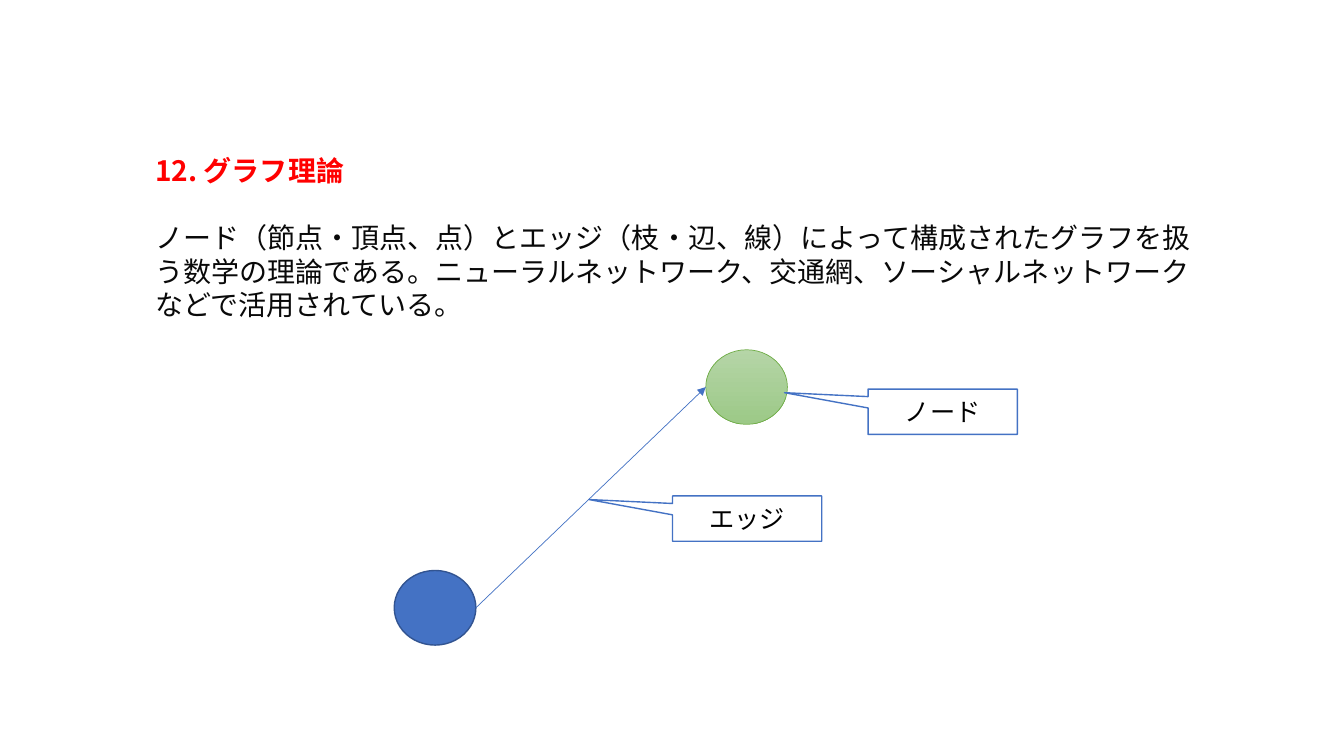
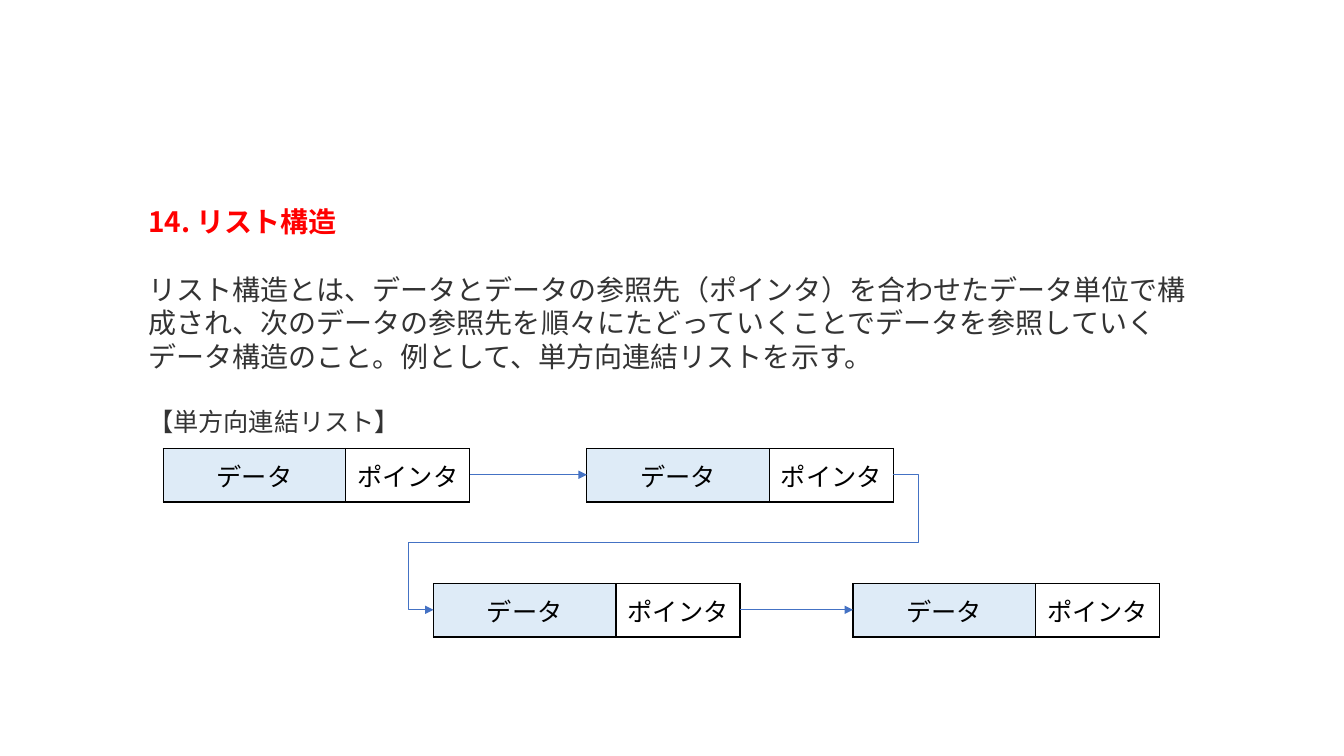
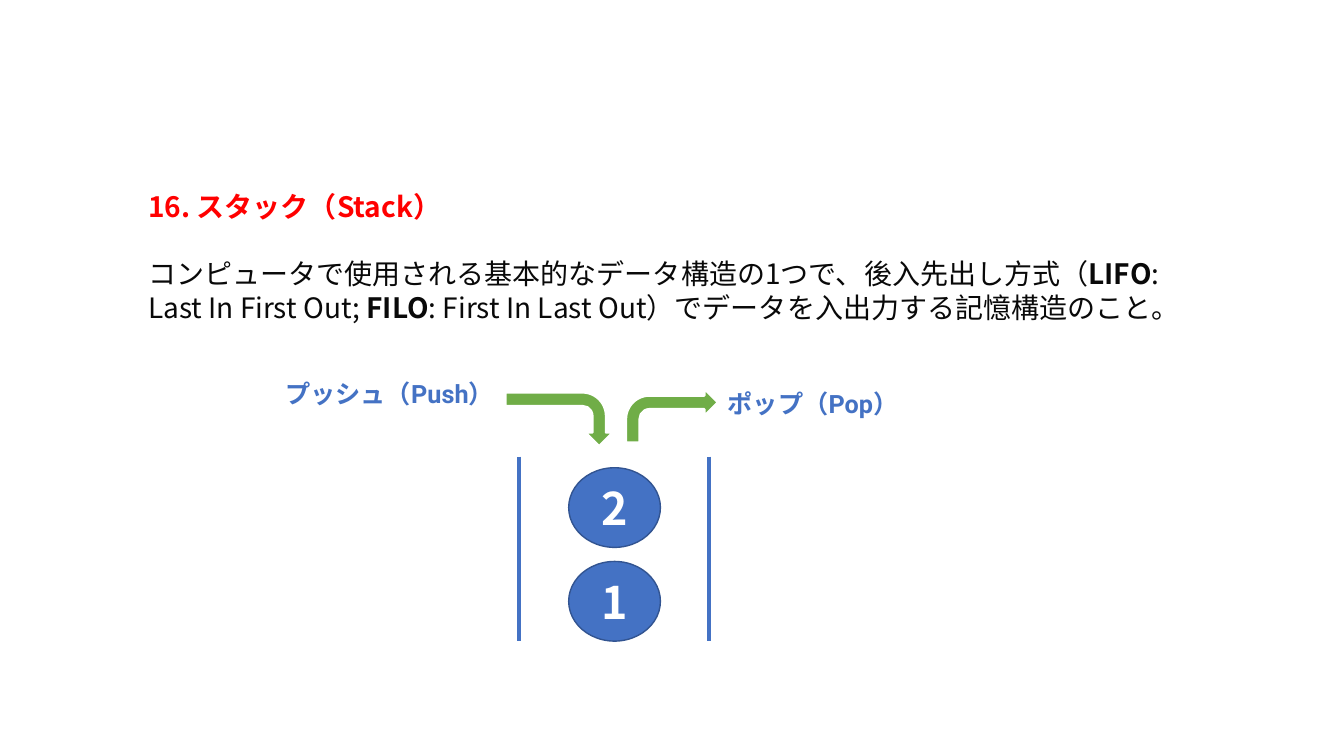
from pptx import Presentation
from pptx.dml.color import RGBColor
from pptx.enum import shapes, text
from pptx.oxml import parse_xml
from pptx.oxml import ns
from pptx import util as u

PX = 9144
CJK, LATIN = "Noto Sans CJK JP", "Roboto"
BLUE, NAVY, GREEN, PALE = "4472C4", "325491", "70AD47", "DEEBF7"
RED, INK, GRAY, BLACK, WHITE = "FF0000", "090909", "333333", "000000", "FFFFFF"
TEXT_W, LINE_H, CELL_H = 1060, 34, 53
CELL_WS = (181, 123)
NODE_W = sum(CELL_WS)
SHAPE = shapes.MSO_SHAPE
CENTER = text.PP_ALIGN.CENTER
MIDDLE = text.MSO_ANCHOR.MIDDLE


def px(*values):
    return [u.Emu(v * PX) for v in values]


def rgb(color):
    return RGBColor.from_string(color)


def xml(body):
    return parse_xml(body.replace(">", f" {ns.nsdecls('a')}>", 1)
                     if "/>" not in body.split(">")[0] + ">"
                     else body.replace("/>", f" {ns.nsdecls('a')}/>", 1))


def style(p, size, color, font=CJK, bold=False, align=None, spacing=None):
    p.alignment = align
    if spacing:
        p.line_spacing = u.Pt(spacing)
    f = p.font
    f.size, f.bold, f.name = u.Pt(size), bold, font
    f.color.rgb = rgb(color)
    f._element.append(xml(f'<a:ea typeface="{CJK}"/>'))


def outline(line, color, width):
    line.color.rgb = rgb(color)
    line.width = u.Pt(width)


def add_text(s, box, parts, size, color, font=CJK, bold=False, spacing=None):
    tf = s.shapes.add_textbox(*px(*box)).text_frame
    tf.word_wrap = True
    p = tf.paragraphs[0]
    for i, part in enumerate(parts):
        r = p.add_run()
        r.text = part
        if i % 2:
            r.font.bold = True
    style(p, size, color, font, bold, spacing=spacing)


def add_heading(s, x, y, title, parts, lines, color=INK, font=CJK):
    sp = s.shapes.title
    sp.left, sp.top, sp.width, sp.height = px(x, y, TEXT_W, LINE_H + 10)
    tf = sp.text_frame
    tf.text = title
    tf.word_wrap = True
    tf.auto_size = text.MSO_AUTO_SIZE.NONE
    tf.vertical_anchor = text.MSO_ANCHOR.TOP
    style(tf.paragraphs[0], 20, RED, bold=True, align=text.PP_ALIGN.LEFT, spacing=24)
    body = (x, y + 2 * LINE_H - 1, TEXT_W, lines * LINE_H + 10)
    add_text(s, body, parts, 20, color, font, spacing=24)


def add_shape(s, kind, box, fill, line, width, label="", size=18, color=BLACK, bold=False):
    sp = s.shapes.add_shape(kind, *px(*box))
    sp.shadow.inherit = False
    sp.fill.solid()
    sp.fill.fore_color.rgb = rgb(fill)
    outline(sp.line, line, width)
    if label:
        tf = sp.text_frame
        tf.text = label
        tf.vertical_anchor = MIDDLE
        style(tf.paragraphs[0], size, color, bold=bold, align=CENTER)
    return sp


def add_callout(s, x, y, label):
    sp = add_shape(s, SHAPE.RECTANGULAR_CALLOUT, (x, y, 148, 45), WHITE, BLUE, 1, label)
    sp.adjustments[0], sp.adjustments[1] = -1.06, -0.42


def add_line(s, start, end, width=0.5, arrow=True, bends=()):
    kind = shapes.MSO_CONNECTOR.ELBOW if bends else shapes.MSO_CONNECTOR.STRAIGHT
    c = s.shapes.add_connector(kind, *px(*start, *end))
    outline(c.line, BLUE, width)
    sp_pr = c._element.spPr
    if arrow:
        c.line._get_or_add_ln().append(xml('<a:tailEnd type="triangle"/>'))
    sp_pr.append(xml("<a:effectLst/>"))
    if bends:
        geom = sp_pr.find(ns.qn("a:prstGeom"))
        geom.set("prst", "bentConnector5")
        guides = geom.get_or_add_avLst()
        for i, bend in enumerate(bends, 1):
            guides.append(xml(f'<a:gd name="adj{i}" fmla="val {bend}"/>'))


def add_list_node(s, x, y):
    frame = s.shapes.add_table(1, 2, *px(x, y, NODE_W, CELL_H))
    table = frame.table
    table.first_row = table.horz_banding = False
    table.rows[0].height = px(CELL_H)[0]
    for i, (label, width) in enumerate(zip(("データ", "ポインタ"), CELL_WS)):
        table.columns[i].width = px(width)[0]
        cell = table.cell(0, i)
        cell.text = label
        cell.vertical_anchor = MIDDLE
        style(cell.text_frame.paragraphs[0], 18, BLACK, align=CENTER)
        tc_pr = cell._tc.get_or_add_tcPr()
        for side in ("lnL", "lnR", "lnT", "lnB"):
            tc_pr.append(xml(f'<a:{side} w="12700"><a:solidFill><a:srgbClr val="{BLACK}"/>'
                             f'</a:solidFill></a:{side}>'))
        if i == 0:
            cell.fill.solid()
            cell.fill.fore_color.rgb = rgb(PALE)
        else:
            cell.fill.background()


def graph_slide(s):
    add_heading(s, 144, 147, "12. グラフ理論", [
        "ノード（節点・頂点、点）とエッジ（枝・辺、線）によって構成されたグラフを扱う数学の理論である。"
        "ニューラルネットワーク、交通網、ソーシャルネットワークなどで活用されている。"], 3)
    w, h = 81, 74
    x1, y1, x2, y2 = 391, 566, 700, 347
    add_shape(s, SHAPE.OVAL, (x1, y1, w, h), BLUE, NAVY, 1)
    target = add_shape(s, SHAPE.OVAL, (x2, y2, w, h), GREEN, GREEN, 0.5)
    target.fill.gradient()
    target.fill.gradient_angle = 270
    for stop, color in zip(target.fill.gradient_stops, ("B5D5A7", "9CC987")):
        stop.color.rgb = rgb(color)
    add_line(s, (x1 + w, y1 + h // 2), (x2, y2 + h // 2))
    add_callout(s, 667, 492, "エッジ")
    add_callout(s, 861, 386, "ノード")


def list_slide(s):
    add_heading(s, 137, 198, "14. リスト構造", [
        "リスト構造とは、データとデータの参照先（ポインタ）を合わせたデータ単位で構成され、"
        "次のデータの参照先を順々にたどっていくことでデータを参照していくデータ構造のこと。"
        "例として、単方向連結リストを示す。"], 3, GRAY, LATIN)
    add_text(s, (137, 398, 666, 40), ["【単方向連結リスト】"], 18, GRAY, LATIN, spacing=22)
    rows = ((445, 162, 582), (579, 430, 846))
    for y, left, right in rows:
        add_list_node(s, left, y)
        add_list_node(s, right, y)
        mid = y + CELL_H // 2
        add_line(s, (left + NODE_W, mid), (right, mid))
    (y1, _, last), (y2, first, _) = rows
    add_line(s, (last + NODE_W, y1 + CELL_H // 2), (first, y2 + CELL_H // 2),
             bends=(-5500, 50000, 105500))


def stack_slide(s):
    add_heading(s, 137, 183, "16. スタック（Stack）", [
        "コンピュータで使用される基本的なデータ構造の1つで、後入先出し方式（", "LIFO",
        ": Last In First Out; ", "FILO",
        ": First In Last Out）でデータを入出力する記憶構造のこと。"], 2)
    for x in (515, 703):
        add_line(s, (x, 453), (x, 636), 3, arrow=False)
    for i, label in enumerate("12"):
        add_shape(s, SHAPE.OVAL, (564, 557 - 93 * i, 91, 79), BLUE, NAVY, 1,
                  label, 32, WHITE, True)
    push = add_shape(s, SHAPE.BENT_ARROW, (528, 363, 53, 106), GREEN, WHITE, 1.5)
    push.rotation = 90
    add_shape(s, SHAPE.BENT_ARROW, (621, 386, 91, 53), GREEN, WHITE, 1.5)
    for box, label in (((273, 370, 228, 40), "プッシュ（Push）"),
                       ((712, 380, 317, 40), "ポップ（Pop）")):
        add_text(s, box, [label], 18, BLUE, LATIN, True, 22)


def main():
    prs = Presentation()
    prs.slide_width, prs.slide_height = u.Inches(13.33), u.Inches(7.5)
    for build in (graph_slide, list_slide, stack_slide):
        build(prs.slides.add_slide(prs.slide_layouts[5]))
    prs.save("out.pptx")


if __name__ == "__main__":
    main()
